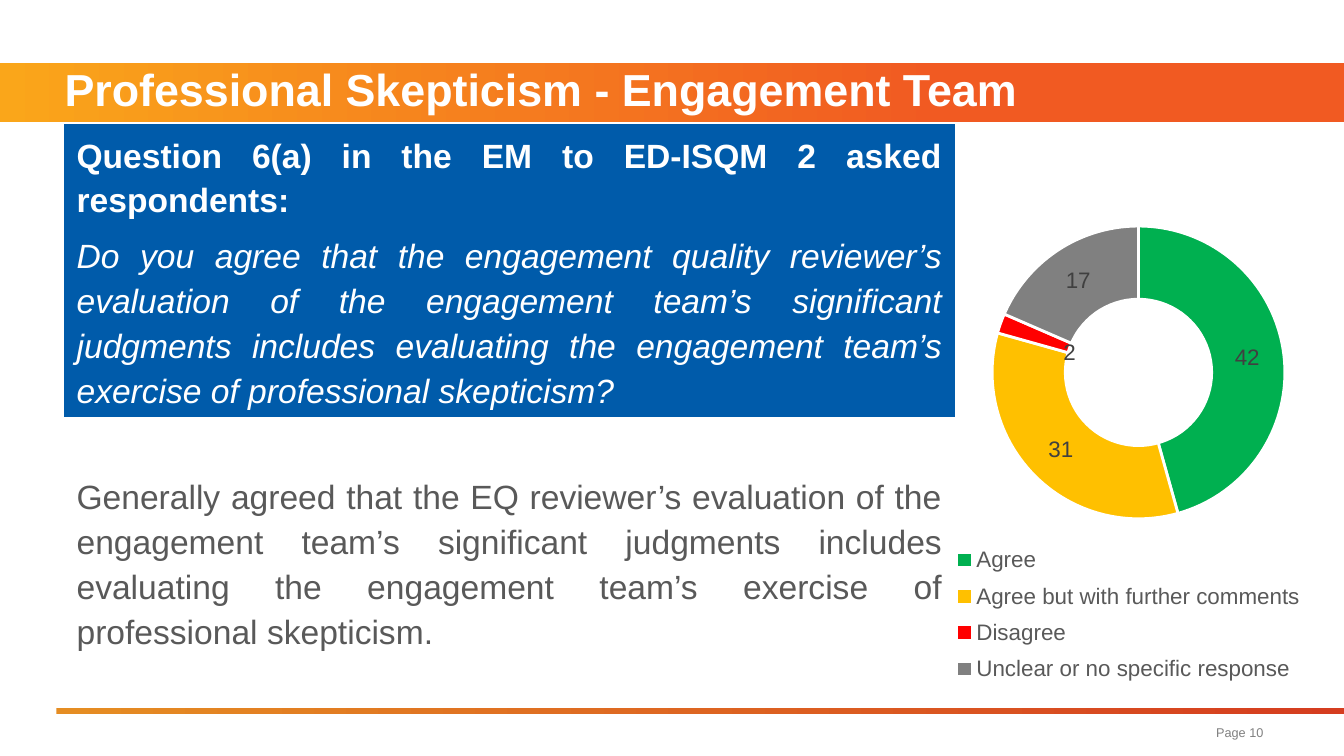
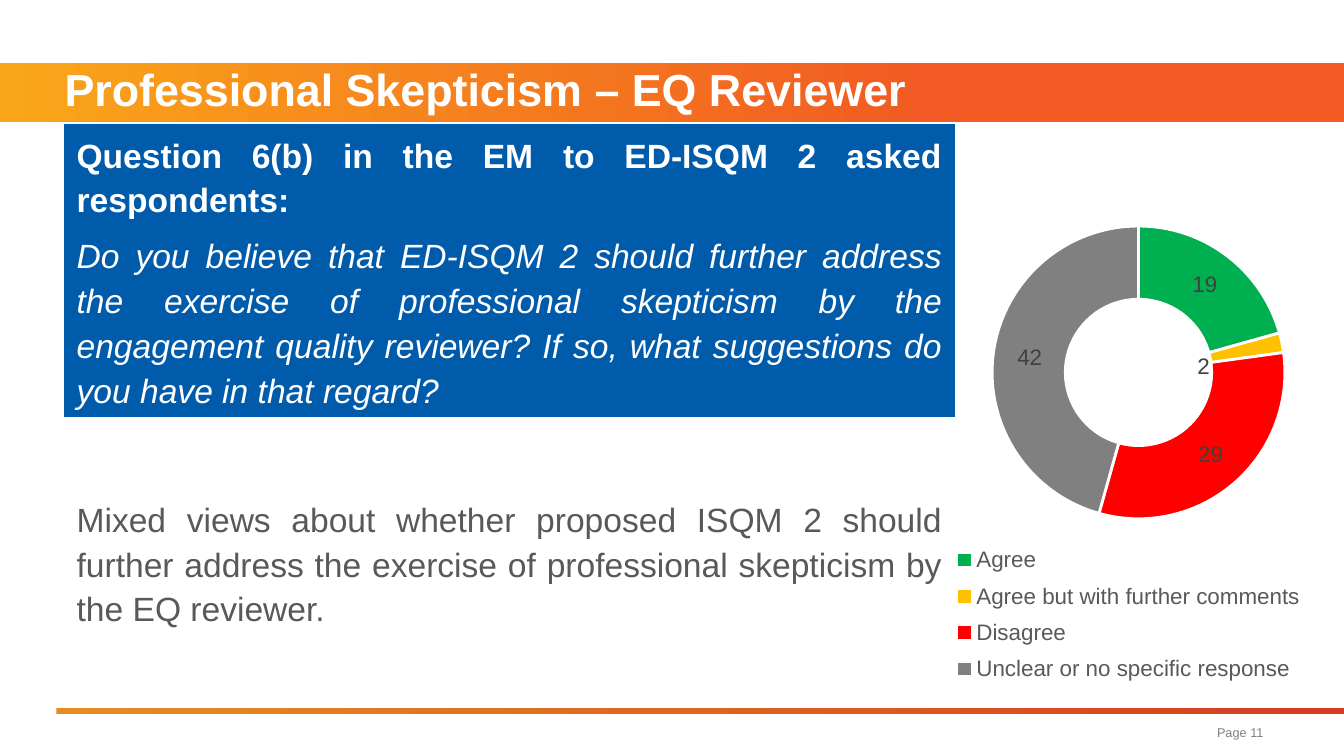
from lxml.etree import SubElement, fromstring
from pptx import Presentation
from pptx.chart.data import CategoryChartData
from pptx.dml.color import RGBColor
from pptx.enum.chart import XL_CHART_TYPE, XL_LEGEND_POSITION
from pptx.enum.shapes import MSO_SHAPE
from pptx.enum.text import MSO_ANCHOR, MSO_AUTO_SIZE, PP_ALIGN
from pptx.oxml.ns import qn
from pptx.util import Inches, Pt

# Shared look
WIDTH = 10
HEIGHT = WIDTH * 9 / 16
FONT = "Arial"
WHITE, BLUE, TEXT, GREY = "FFFFFF", "005BAA", "595959", "808080"
LABEL = "404040"
ANSWERS = {
    "Agree": "00B050",
    "Agree but with further comments": "FFC000",
    "Disagree": "FF0000",
    "Unclear or no specific response": GREY,
}

# Title, question number, question, finding, counts, small slice, label shift
PAGES = [
    ("Professional Skepticism - Engagement Team", "6(a)",
     "Do you agree that the engagement quality reviewer’s evaluation of the "
     "engagement team’s significant judgments includes evaluating the "
     "engagement team’s exercise of professional skepticism?",
     "Generally agreed that the EQ reviewer’s evaluation of the engagement "
     "team’s significant judgments includes evaluating the engagement team’s "
     "exercise of professional skepticism.",
     (42, 31, 2, 17), 2, 0.09),
    ("Professional Skepticism – EQ Reviewer", "6(b)",
     "Do you believe that ED-ISQM 2 should further address the exercise of "
     "professional skepticism by the engagement quality reviewer? If so, what "
     "suggestions do you have in that regard?",
     "Mixed views about whether proposed ISQM 2 should further address the "
     "exercise of professional skepticism by the EQ reviewer.",
     (19, 2, 29, 42), 1, -0.11),
]


def color(code):
    return RGBColor.from_string(code)


def box(*sizes):
    return [Inches(size) for size in sizes]


def style(font, size, code, bold=False, italic=False):
    font.name, font.size = FONT, Pt(size)
    font.bold, font.italic = bold, italic
    font.color.rgb = color(code)


def write(para, text, size=18, code=TEXT, bold=False, italic=False,
          align=PP_ALIGN.JUSTIFY, line=24, before=0):
    para.alignment = align
    para.space_before = Pt(before)
    if line:
        para.line_spacing = Pt(line)
    run = para.add_run()
    run.text = text
    style(run.font, size, code, bold, italic)


def band(slide, place, stops):
    bar = slide.shapes.add_shape(MSO_SHAPE.RECTANGLE, *box(*place))
    bar.shadow.inherit = False
    bar.line.fill.background()
    bar.fill.gradient()
    bar.fill.gradient_angle = 0
    for stop, (spot, code) in zip(bar.fill.gradient_stops, stops):
        stop.position = spot
        stop.color.rgb = color(code)


def title(slide, text):
    head = slide.shapes.title
    head.left, head.top, head.width, head.height = box(0, 0.47, WIDTH, 0.44)
    frame = head.text_frame
    frame.auto_size = MSO_AUTO_SIZE.NONE
    frame.vertical_anchor = MSO_ANCHOR.MIDDLE
    frame.margin_left = Inches(0.48)
    write(frame.paragraphs[0], text, size=24, code=WHITE, bold=True,
          align=PP_ALIGN.LEFT)
    # Bring the title in front of its band
    head.element.getparent().append(head.element)


def footer(slide, number):
    frame = slide.shapes.add_textbox(*box(6.48, 5.34, 3.02, 0.25)).text_frame
    frame.word_wrap = True
    write(frame.paragraphs[0], f"Page {number}", size=6.8, code=GREY,
          align=PP_ALIGN.RIGHT, line=None)


def border(cell):
    props = cell._tc.get_or_add_tcPr()
    for spot, (side, width) in enumerate(zip("LRTB", (1, 1, 1, 3))):
        edge = SubElement(props, qn(f"a:ln{side}"), w=str(Pt(width)))
        fill = SubElement(edge, qn("a:solidFill"))
        SubElement(fill, qn("a:srgbClr"), val=WHITE)
        props.insert(spot, edge)


def panel(slide, top, height, fill=None, anchor=MSO_ANCHOR.TOP):
    """Add a one-cell table and return its text frame."""
    table = slide.shapes.add_table(1, 1, *box(0.47, top, 6.64, height)).table
    table.first_row = table.horz_banding = False
    cell = table.cell(0, 0)
    cell.vertical_anchor = anchor
    if fill:
        cell.fill.solid()
        cell.fill.fore_color.rgb = color(fill)
    else:
        cell.fill.background()
    border(cell)
    return cell.text_frame


def layout(node, spot, **parts):
    """Place a chart part by fractions of the chart area."""
    for old in node.findall(qn("c:layout")):
        node.remove(old)
    space = node.nsmap["c"]
    tags = "".join(f'<c:{tag} val="{val}"/>' for tag, val in parts.items())
    node.insert(spot, fromstring(
        f'<c:layout xmlns:c="{space}"><c:manualLayout>{tags}'
        "</c:manualLayout></c:layout>"))


def ring(slide, counts, small, shift):
    data = CategoryChartData()
    data.categories = list(ANSWERS)
    data.add_series("Series 1", counts)
    chart = slide.shapes.add_chart(
        XL_CHART_TYPE.DOUGHNUT, *box(6.97, 0.97, 2.86, 4.19), data).chart
    style(chart.font, 12, "000000")
    chart.has_title = False
    plot = chart.plots[0]
    plot.vary_by_categories = True
    series = plot.series[0]

    # Slices
    for spot, code in enumerate(ANSWERS.values()):
        form = series.points[spot].format
        form.fill.solid()
        form.fill.fore_color.rgb = color(code)
        form.line.color.rgb = color(WHITE)
        form.line.width = Pt(1.5)

    # Value labels, with the one of the small slice moved inwards
    labels = series.data_labels
    labels.show_value = True
    style(labels.font, 12, LABEL)
    style(series.points[small].data_label.font, 12, LABEL)

    # Legend
    chart.has_legend = True
    legend = chart.legend
    legend.position = XL_LEGEND_POSITION.BOTTOM
    legend.include_in_layout = False
    style(legend.font, 12, TEXT)

    # Places inside the chart
    root = chart.element
    root.find(".//" + qn("c:holeSize")).set("val", "75")
    layout(root.find(".//" + qn("c:dLbl")), 1, x=shift, y=0.03)
    layout(root.find(".//" + qn("c:plotArea")), 0, layoutTarget="inner",
           xMode="edge", yMode="edge", x=0.14, y=0.17, w=0.77, h=0.52)
    layout(root.find(".//" + qn("c:legend")), 1, xMode="edge", yMode="edge",
           x=0.03, y=0.72, w=0.94, h=0.28)


def build(deck, number, head, part, question, finding, counts, small, shift):
    slide = deck.slides.add_slide(deck.slide_layouts[5])
    band(slide, (0, 0.47, WIDTH, 0.44), [(0, "FAA61A"), (0.7, "F15A22")])
    band(slide, (0.42, 5.27, 9.58, 0.04), [(0, "E58D23"), (1, "D53D20")])
    ring(slide, counts, small, shift)
    answer = panel(slide, 3.11, 2.14, anchor=MSO_ANCHOR.MIDDLE)
    write(answer.paragraphs[0], finding)
    title(slide, head)
    footer(slide, number)
    ask = panel(slide, 0.92, 2.2, fill=BLUE)
    write(ask.paragraphs[0],
          f"Question {part} in the EM to ED-ISQM 2 asked respondents:",
          code=WHITE, bold=True)
    write(ask.add_paragraph(), question, code=WHITE, italic=True, before=6)


def main():
    deck = Presentation()
    deck.slide_width, deck.slide_height = box(WIDTH, HEIGHT)
    for number, page in enumerate(PAGES, 10):
        build(deck, number, *page)
    deck.save("out.pptx")


if __name__ == "__main__":
    main()
